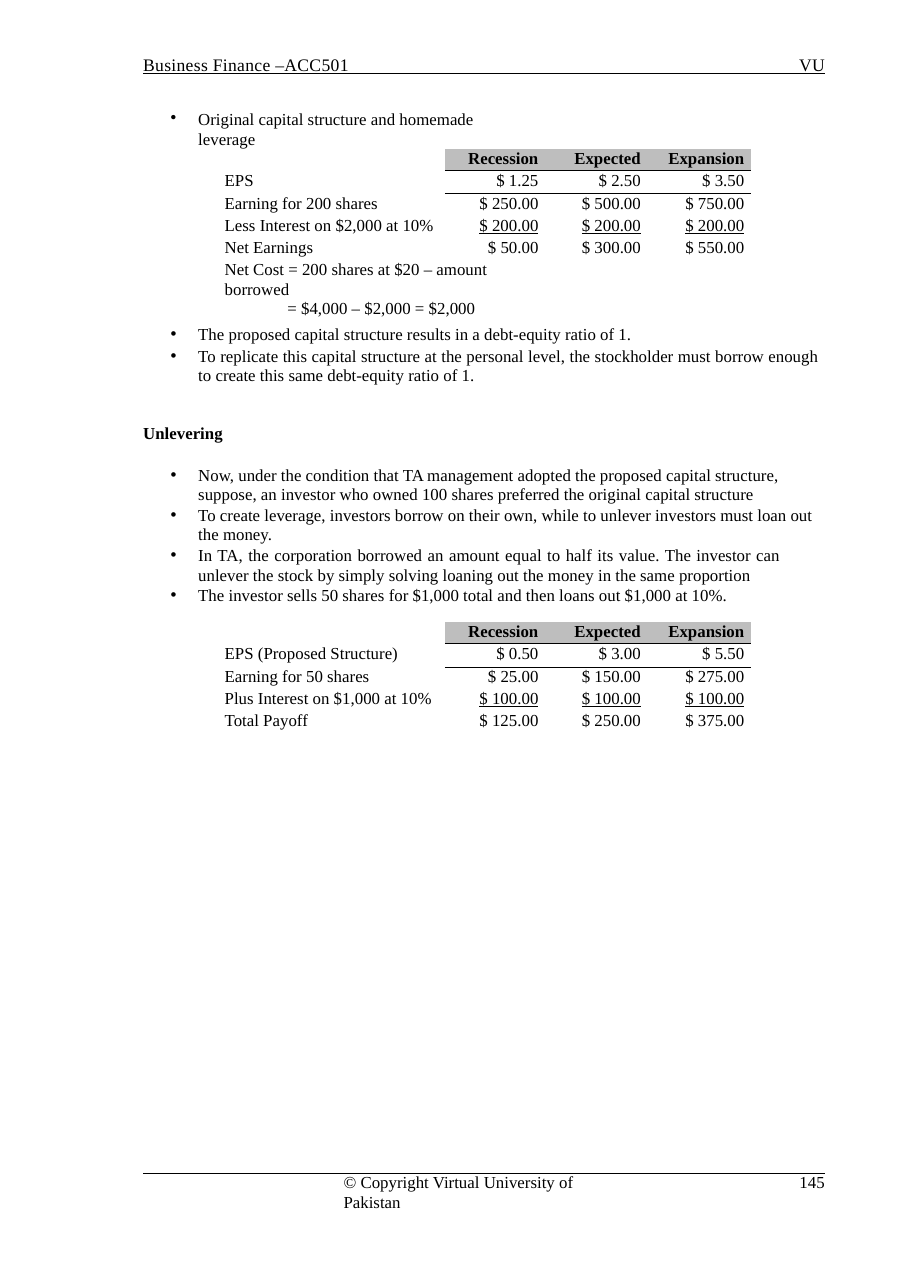
"""Build a portrait finance handout page with two leverage tables and bullet notes."""
from dataclasses import dataclass

from lxml import etree
from pptx import Presentation
from pptx import util as u
from pptx.dml.color import RGBColor
from pptx.enum import shapes, text
from pptx.oxml.ns import qn

PAGE_POINTS = (595, 842.5)
HEADER = ("Business Finance –ACC501", "VU")
FOOTER = ("© Copyright Virtual University of Pakistan", "145")
LEAD_BULLET = "Original capital structure and homemade leverage"
NOTES = [
    dict(words="The proposed capital structure results in a debt-equity ratio of 1."),
    dict(words="To replicate this capital structure at the personal level, the stockholder "
               "must borrow enough to create this same debt-equity ratio of 1.",
         before=1.4, right=0.05),
    dict(words="Unlevering", before=25.4, heading=True),
    dict(words="Now, under the condition that TA management adopted the proposed capital "
               "structure, suppose, an investor who owned 100 shares preferred the original "
               "capital structure", before=14.8),
    dict(words="To create leverage, investors borrow on their own, while to unlever investors "
               "must loan out the money.", before=1.1),
    dict(words="In TA, the corporation borrowed an amount equal to half its value. The investor "
               "can unlever the stock by simply solving loaning out the money in the same "
               "proportion", before=1.1, right=0.4),
    dict(words="The investor sells 50 shares for $1,000 total and then loans out $1,000 at 10%.",
         before=0.5),
]
SCENARIOS = ("", "Recession", "Expected", "Expansion")
HOMEMADE_LEVERAGE = [
    SCENARIOS,
    ("EPS", "$ 1.25", "$ 2.50", "$ 3.50"),
    ("Earning for 200 shares", "$ 250.00", "$ 500.00", "$ 750.00"),
    ("Less Interest on $2,000 at 10%", "$ 200.00", "$ 200.00", "$ 200.00"),
    ("Net Earnings", "$ 50.00", "$ 300.00", "$ 550.00"),
    ("Net Cost = 200 shares at $20 – amount borrowed",),
    ("= $4,000 – $2,000 = $2,000",),
]
UNLEVERING = [
    SCENARIOS,
    ("EPS (Proposed Structure)", "$ 0.50", "$ 3.00", "$ 5.50"),
    ("Earning for 50 shares", "$ 25.00", "$ 150.00", "$ 275.00"),
    ("Plus Interest on $1,000 at 10%", "$ 100.00", "$ 100.00", "$ 100.00"),
    ("Total Payoff", "$ 125.00", "$ 250.00", "$ 375.00"),
]
COLUMN_WIDTHS = (2.14, 1, 0.89, 0.89)
RIGHT_MARGINS = (0, 0.15, 0.11, 0.06)
EPS_ROW, INTEREST_ROW = 1, 3
PLAIN_TABLE_STYLE = "{2D5ABB26-0587-4C30-8999-92F81FD0307C}"


@dataclass(frozen=True)
class Theme:
    font: str = "Times New Roman"
    ink: RGBColor = RGBColor(0, 0, 0)
    shade: RGBColor = RGBColor(0xBE, 0xBE, 0xBE)
    header_size: float = 11.5
    body_size: float = 11


THEME = Theme()


def style(paragraph, size=THEME.body_size, bold=False, underline=False):
    font = paragraph.font
    font.name, font.size, font.bold = THEME.font, u.Pt(size), bold
    font.underline = underline
    font.color.rgb = THEME.ink


def indent(paragraph, left, hanging=0, right=0, bullet=False):
    properties = paragraph._p.get_or_add_pPr()
    properties.set("marL", str(u.Inches(left)))
    properties.set("indent", str(u.Inches(-hanging)))
    if right:
        properties.set("marR", str(u.Inches(right)))
    if bullet:
        etree.SubElement(properties, qn("a:buChar")).set("char", "•")
    else:
        etree.SubElement(properties, qn("a:buNone"))


def place(shape, left, top, width, height, inset=0.02):
    shape.left, shape.top = u.Inches(left), u.Inches(top)
    shape.width, shape.height = u.Inches(width), u.Inches(height)
    frame = shape.text_frame
    frame.margin_left = frame.margin_right = frame.margin_bottom = 0
    frame.margin_top = u.Inches(inset)
    frame.word_wrap = True
    frame.auto_size = text.MSO_AUTO_SIZE.NONE
    frame.vertical_anchor = text.MSO_ANCHOR.TOP
    return frame


def add_label(slide, words, left, top, width, height, inset=0.02):
    frame = place(slide.shapes.add_textbox(0, 0, 0, 0), left, top, width, height, inset)
    paragraph = frame.paragraphs[0]
    paragraph.text = words
    return paragraph


def add_rule(slide, top, weight):
    rule = slide.shapes.add_connector(shapes.MSO_CONNECTOR.STRAIGHT, u.Inches(1.3),
                                      u.Inches(top), u.Inches(7.49), u.Inches(top))
    rule.line.color.rgb = THEME.ink
    rule.line.width = u.Pt(weight)
    etree.SubElement(rule._element.spPr, qn("a:effectLst"))


def underline_cell(cell):
    line = etree.Element(qn("a:lnB"), w=str(u.Pt(0.75)))
    fill = etree.SubElement(line, qn("a:solidFill"))
    etree.SubElement(fill, qn("a:srgbClr")).set("val", str(THEME.ink))
    cell._tc.get_or_add_tcPr().insert(0, line)


def fill_cell(cell, words, row, column):
    cell.margin_left = cell.margin_top = cell.margin_bottom = 0
    cell.margin_right = u.Inches(RIGHT_MARGINS[column])
    scenario = column > 0 and words != ""
    if scenario and row == 0:
        cell.fill.solid()
        cell.fill.fore_color.rgb = THEME.shade
    else:
        cell.fill.background()
    if scenario and row <= EPS_ROW:
        underline_cell(cell)
    paragraph = cell.text_frame.paragraphs[0]
    if not words:
        ending = etree.SubElement(paragraph._p, qn("a:endParaRPr"))
        ending.set("sz", str(int(THEME.body_size * 100)))
        return
    paragraph.text = words
    paragraph.line_spacing = u.Pt(12.8)
    if column:
        paragraph.alignment = text.PP_ALIGN.RIGHT
    else:
        indent(paragraph, 0.71 if words.startswith("=") else 0.14)
    style(paragraph, bold=row == 0, underline=scenario and row == INTEREST_ROW)


def add_payoff_table(slide, rows, top):
    heights = [0.21 if row == EPS_ROW else 0.2 for row in range(len(rows))]
    frame = slide.shapes.add_table(len(rows), len(COLUMN_WIDTHS), u.Inches(1.9), u.Inches(top),
                                   u.Inches(sum(COLUMN_WIDTHS)), u.Inches(sum(heights)))
    table = frame.table
    table.first_row = table.horz_banding = False
    table._tbl.tblPr.find(qn("a:tableStyleId")).text = PLAIN_TABLE_STYLE
    for column, width in enumerate(COLUMN_WIDTHS):
        table.columns[column].width = u.Inches(width)
    for row, values in enumerate(rows):
        table.rows[row].height = u.Inches(heights[row])
        for column in range(len(COLUMN_WIDTHS)):
            words = values[column] if column < len(values) else ""
            fill_cell(table.cell(row, column), words, row, column)
        if len(values) == 1:
            table.cell(row, 0).merge(table.cell(row, 1))
            table.cell(row, 0).margin_right = u.Inches(RIGHT_MARGINS[1])


def add_notes(placeholder):
    frame = place(placeholder, 1.29, 2.93, 6.2, 2.55)
    for index, note in enumerate(NOTES):
        paragraph = frame.paragraphs[0] if index == 0 else frame.add_paragraph()
        heading, right = note.get("heading", False), note.get("right", 0)
        paragraph.text = note["words"]
        paragraph.alignment = text.PP_ALIGN.JUSTIFY if right else text.PP_ALIGN.LEFT
        paragraph.line_spacing = u.Pt(12.6)
        paragraph.space_before = u.Pt(note.get("before", 0))
        if heading:
            indent(paragraph, 0.01)
        else:
            indent(paragraph, 0.51, 0.25, right, bullet=True)
        style(paragraph, bold=heading)


def main():
    presentation = Presentation()
    presentation.slide_width, presentation.slide_height = map(u.Pt, PAGE_POINTS)
    presentation.element.sldSz.attrib.pop("type", None)
    slide = presentation.slides.add_slide(presentation.slide_layouts[1])
    title, body = slide.placeholders

    heading = place(title, 1.3, 0.47, 3, 0.23).paragraphs[0]
    heading.text = HEADER[0]
    heading.alignment = text.PP_ALIGN.LEFT
    page_code = add_label(slide, HEADER[1], 7.19, 0.47, 0.3, 0.23)
    page_code.alignment = text.PP_ALIGN.RIGHT
    for paragraph in (heading, page_code):
        style(paragraph, THEME.header_size)
        paragraph.runs[0]._r.get_or_add_rPr().set("spc", "20")
    add_rule(slide, 0.67, 0.75)

    lead = add_label(slide, LEAD_BULLET, 1.54, 0.97, 3.21, 0.4)
    indent(lead, 0.26, 0.25, bullet=True)
    style(lead)
    add_payoff_table(slide, HOMEMADE_LEVERAGE, 1.35)
    add_notes(body)
    add_payoff_table(slide, UNLEVERING, 5.65)

    add_rule(slide, 10.66, 1)
    credit = add_label(slide, FOOTER[0], 3.12, 10.65, 2.5, 0.36, inset=0)
    page_number = add_label(slide, FOOTER[1], 7.19, 10.65, 0.3, 0.2, inset=0)
    page_number.alignment = text.PP_ALIGN.RIGHT
    for paragraph in (credit, page_number):
        paragraph.line_spacing = u.Pt(12.8)
        style(paragraph)
    presentation.save("out.pptx")


if __name__ == "__main__":
    main()
